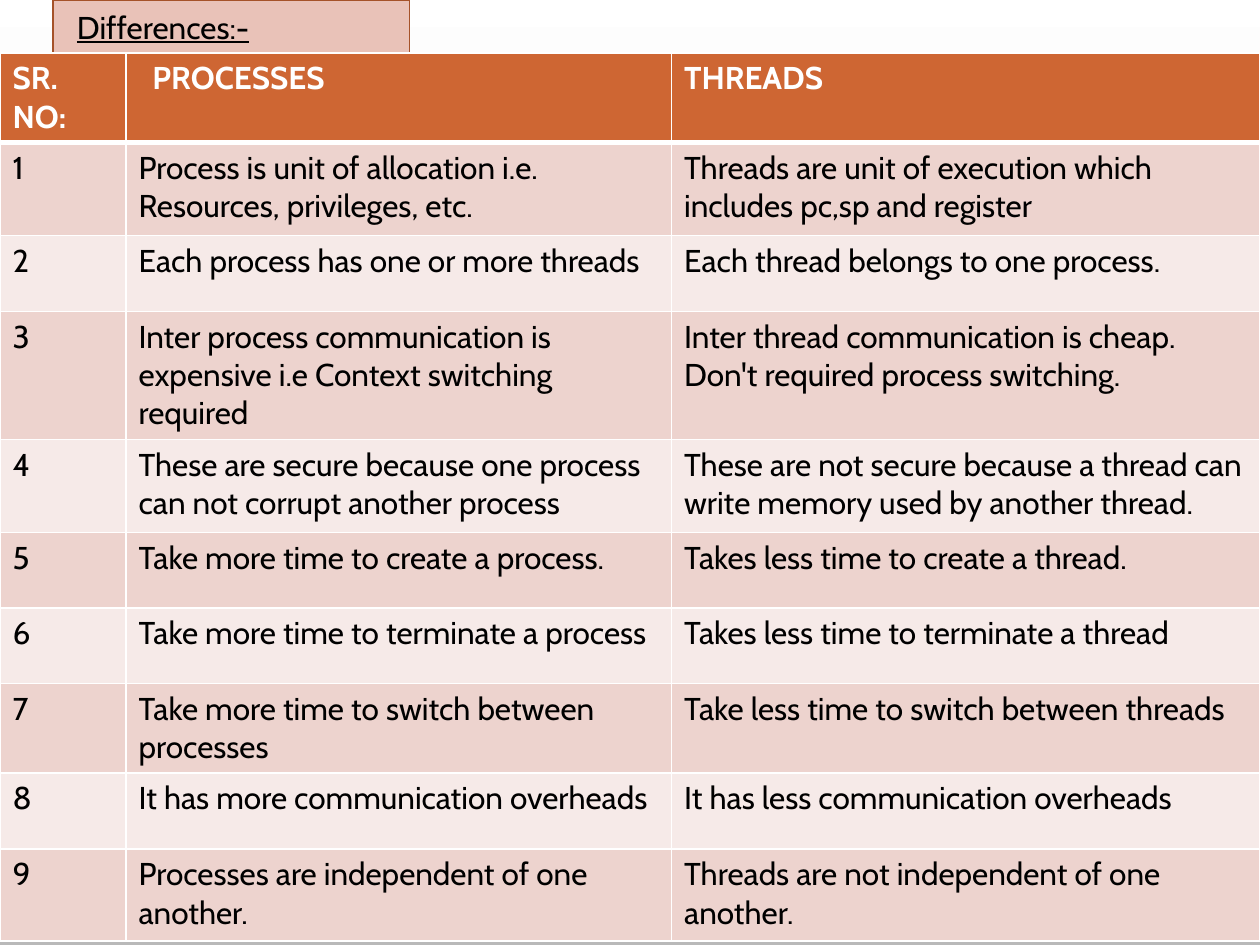
from lxml.etree import SubElement
from pptx import Presentation
from pptx.dml.color import RGBColor
from pptx.enum.text import MSO_ANCHOR, MSO_AUTO_SIZE, PP_ALIGN
from pptx.oxml.ns import qn
from pptx.util import Inches, Pt

COLORS = {
    "white": "FFFFFF",
    "background_end": "B9B9B9",
    "text": "000000",
    "header": "CE6633",
    "odd_row": "EDD3CE",
    "even_row": "F6EAE8",
    "title_fill": "E9C2B8",
    "title_line": "A55229",
}
FONT = "Cabin"
COLUMN_WIDTHS = [1, 4.33, 4.67]
ROW_HEIGHTS = [0.7, 0.74, 0.6, 1, 0.74, 0.6, 0.6, 0.7, 0.6, 0.73]
HEADER = ("SR. NO:", "PROCESSES", "THREADS")
DIFFERENCES = [
    ("Process is unit of allocation i.e. Resources, privileges, etc.",
     "Threads are unit of execution which includes pc,sp and register"),
    ("Each process has one or more threads",
     "Each thread belongs to one process."),
    ("Inter process communication is expensive i.e Context switching required",
     "Inter thread communication is cheap. Don't required process switching."),
    ("These are secure because one process can not corrupt another process",
     "These are not secure because a thread can write memory used by another thread."),
    ("Take more time to create a process.",
     "Takes less time to create a thread."),
    ("Take more time to terminate a process",
     "Takes less time to terminate a thread"),
    ("Take more time to switch between processes",
     "Take less time to switch between threads"),
    ("It has more communication overheads",
     "It has less communication overheads"),
    ("Processes are independent of one another.",
     "Threads are not independent of one another."),
]


def rgb(name):
    return RGBColor.from_string(COLORS[name])


def add_borders(cell, widths):
    properties = cell._tc.get_or_add_tcPr()
    for side, width in widths.items():
        border = SubElement(properties, qn(f"a:ln{side}"), w=str(Pt(width)))
        solid = SubElement(border, qn("a:solidFill"))
        SubElement(solid, qn("a:srgbClr"), val=COLORS["white"])


prs = Presentation()
prs.slide_width = Inches(10)
prs.slide_height = Inches(7.5)
slide = prs.slides.add_slide(prs.slide_layouts[5])

background = slide.background.fill
background.gradient()
background.gradient_angle = 270
for stop, color in zip(background.gradient_stops, ("white", "background_end")):
    stop.color.rgb = rgb(color)

title = slide.shapes.title
title.left, title.top = Inches(0.42), Inches(0)
title.width, title.height = Inches(2.83), Inches(0.42)
title.fill.solid()
title.fill.fore_color.rgb = rgb("title_fill")
title.line.color.rgb = rgb("title_line")
title.line.width = Pt(0.75)
title.text_frame.text = "Differences:-"
title.text_frame.auto_size = MSO_AUTO_SIZE.NONE
title.text_frame.vertical_anchor = MSO_ANCHOR.MIDDLE
title.text_frame.margin_left = Inches(0.19)
heading = title.text_frame.paragraphs[0]
heading.alignment = PP_ALIGN.LEFT
heading.space_before = Pt(6)
heading.font.name = FONT
heading.font.size = Pt(18)
heading.font.underline = True
heading.font.color.rgb = rgb("text")

rows = [HEADER] + [(str(number), *pair) for number, pair in enumerate(DIFFERENCES, 1)]
comparison = slide.shapes.add_table(
    len(rows), len(HEADER), Inches(0), Inches(0.42), Inches(10), Inches(sum(ROW_HEIGHTS))
).table
for column, width in zip(comparison.columns, COLUMN_WIDTHS):
    column.width = Inches(width)

for row_index, (row, height) in enumerate(zip(rows, ROW_HEIGHTS)):
    comparison.rows[row_index].height = Inches(height)
    is_header = row_index == 0
    row_fill = "header" if is_header else ("even_row", "odd_row")[row_index % 2]
    for column_index, wording in enumerate(row):
        cell = comparison.cell(row_index, column_index)
        cell.text = wording
        add_borders(cell, {"L": 1, "R": 1, "T": 3 if row_index == 1 else 1,
                           "B": 3 if is_header else 1})
        cell.fill.solid()
        cell.fill.fore_color.rgb = rgb(row_fill)
        font = cell.text_frame.paragraphs[0].font
        font.name = FONT
        font.size = Pt(18)
        font.bold = is_header
        font.color.rgb = rgb("white" if is_header else "text")

comparison.cell(0, 1).margin_left = Inches(0.21)

prs.save("out.pptx")
